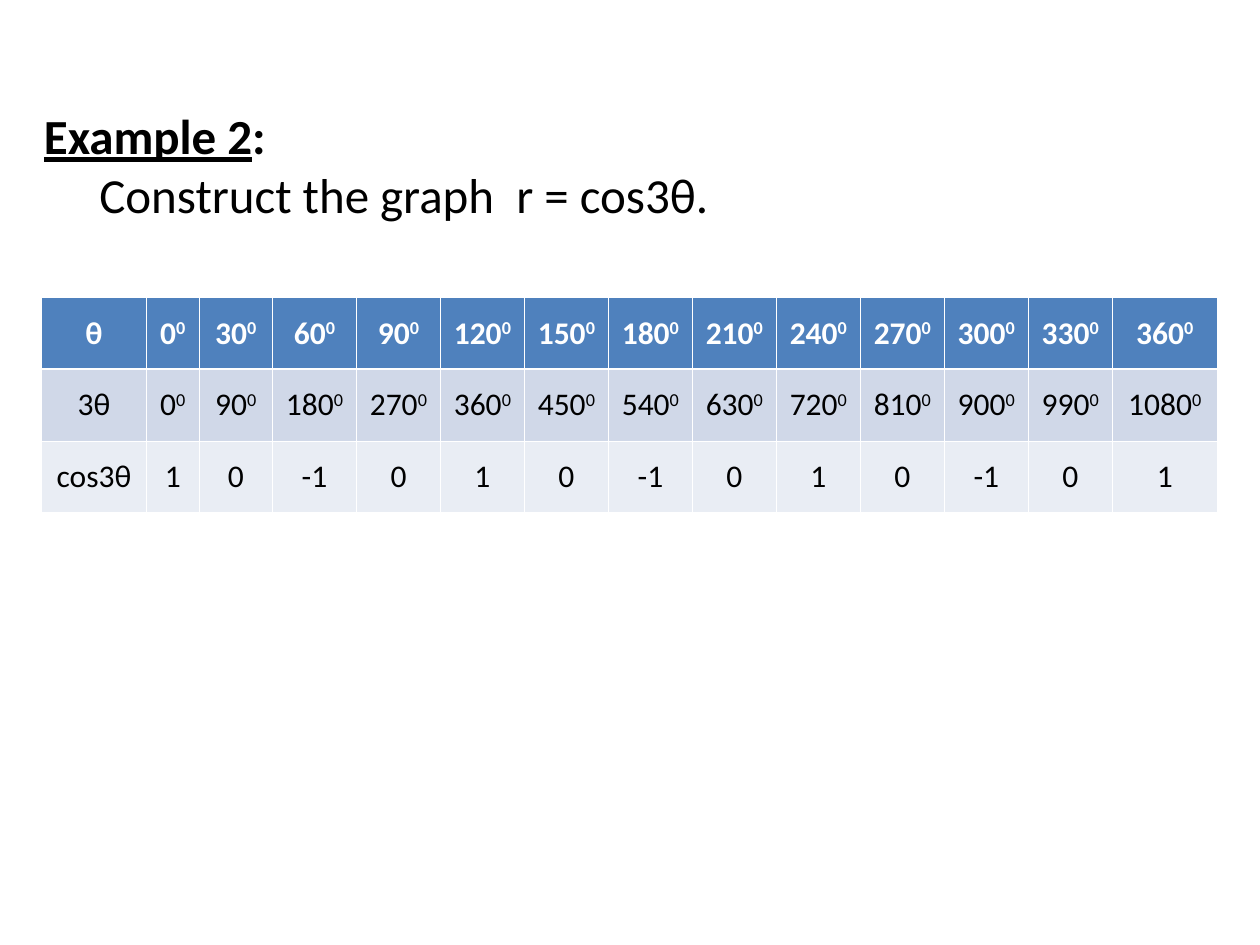
from lxml.etree import SubElement
from pptx import Presentation
from pptx.dml.color import RGBColor
from pptx.enum.text import MSO_ANCHOR, PP_ALIGN
from pptx.oxml.ns import qn
from pptx.util import Inches, Pt

# Content
HEADING = "Example 2"
TASK = "Construct the graph  r = cos3θ."
ANGLES = range(0, 361, 30)
DEGREE = "0"  # raised after each angle
ROWS = [  # label, values, raised mark, fill, text colour
    ("θ", list(ANGLES), DEGREE, "4F81BD", "FFFFFF"),
    ("3θ", [3 * a for a in ANGLES], DEGREE, "D0D8E8", "000000"),
    ("cos3θ", [1, 0, -1, 0] * 3 + [1], "", "E9EDF4", "000000"),
]

# Layout
COLS = [10, 5, 7] + [8] * 10 + [10]  # twelfths of an inch
ROW_H = 0.57
FONT = "Calibri"
THIN, THICK = 0.45, 1.47


def rgb(value):
    return RGBColor.from_string(value)


def style(p, size, color, bold):
    p.font.name, p.font.size, p.font.bold = FONT, Pt(size), bold
    p.font.color.rgb = rgb(color)


def add_run(p, text):
    r = p.add_run()
    r.text = text
    return r


def set_borders(cell, top, bottom):
    tc_pr = cell._tc.get_or_add_tcPr()
    for side, width in zip("LRTB", (THIN, THIN, top, bottom)):
        ln = SubElement(tc_pr, qn(f"a:ln{side}"), w=str(Pt(width)))
        SubElement(SubElement(ln, qn("a:solidFill")), qn("a:srgbClr"), val="FFFFFF")


def fill_cell(cell, text, mark, fill, color, bold):
    cell.fill.solid()
    cell.fill.fore_color.rgb = rgb(fill)
    cell.vertical_anchor = MSO_ANCHOR.MIDDLE
    p = cell.text_frame.paragraphs[0]
    p.alignment = PP_ALIGN.CENTER
    style(p, 18, color, bold)
    add_run(p, text)
    if mark:
        add_run(p, mark)._r.get_or_add_rPr().set("baseline", "30000")


def add_values_table(slide):
    table = slide.shapes.add_table(
        len(ROWS), len(COLS), Inches(0.33), Inches(2.36),
        Inches(sum(COLS) / 12), Inches(ROW_H * len(ROWS))).table
    for column, twelfths in zip(table.columns, COLS):
        column.width = Inches(twelfths / 12)
    for i, (label, values, mark, fill, color) in enumerate(ROWS):
        table.rows[i].height = Inches(ROW_H)
        for j, text in enumerate([label, *values]):
            cell = table.cell(i, j)
            set_borders(cell, THICK if i == 1 else THIN, THICK if i == 0 else THIN)
            fill_cell(cell, str(text), mark if j else "", fill, color, i == 0)


def add_task(slide):
    tf = slide.shapes.add_textbox(
        Inches(0.25), Inches(0.79), Inches(9.08), Inches(1.04)).text_frame
    tf.word_wrap = True
    p = tf.paragraphs[0]
    style(p, 28, "000000", True)
    add_run(p, HEADING).font.underline = True
    add_run(p, ":")
    p = tf.add_paragraph()
    p._p.get_or_add_pPr().set("marL", str(Inches(0.44)))
    style(p, 28, "000000", False)
    add_run(p, TASK)


def main():
    prs = Presentation()
    prs.slide_width, prs.slide_height = Inches(10), Inches(7.5)
    slide = prs.slides.add_slide(prs.slide_layouts[6])
    add_values_table(slide)
    add_task(slide)
    prs.save("out.pptx")


if __name__ == "__main__":
    main()
